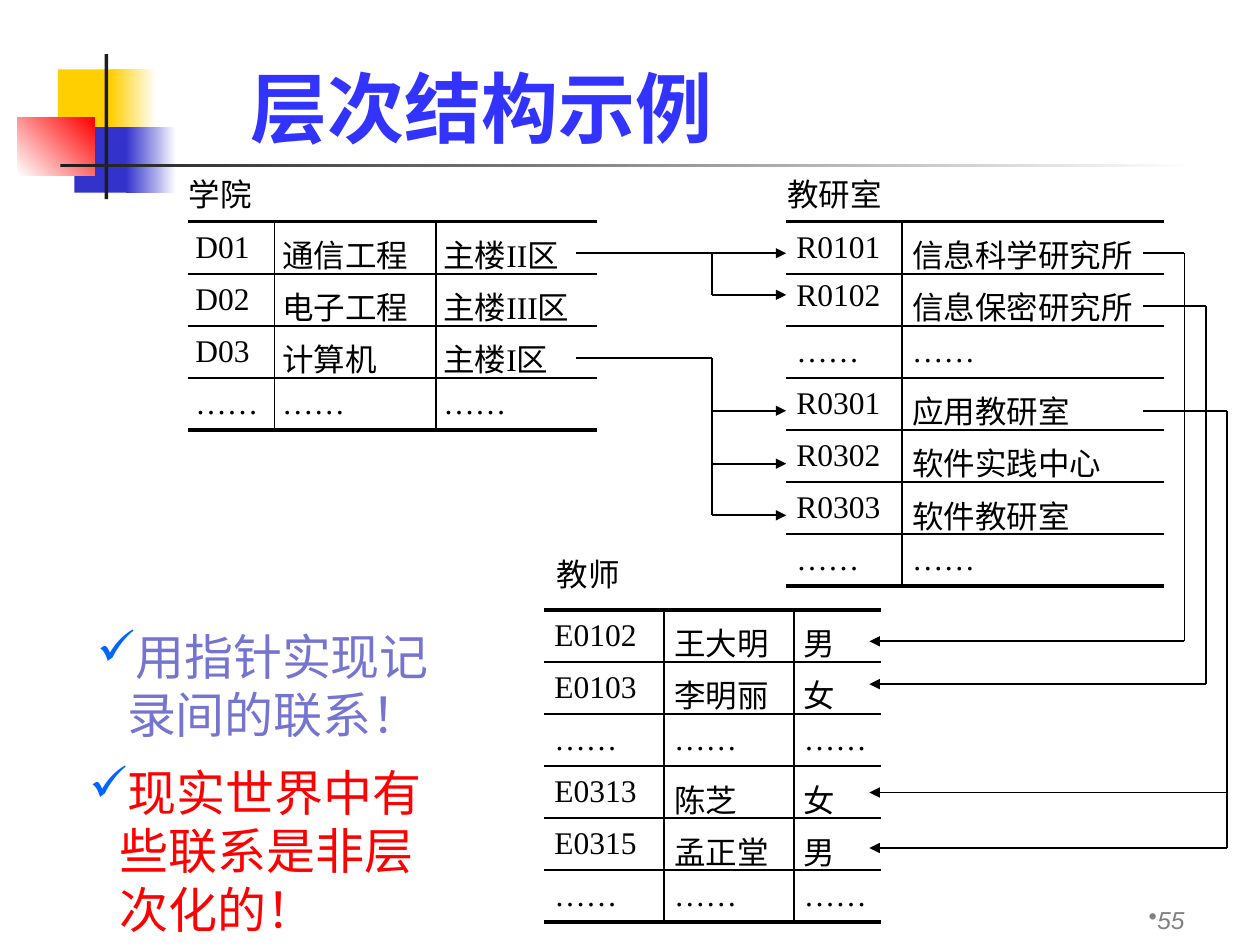
import pptx
import pptx.dml.color
import pptx.enum.dml
import pptx.enum.shapes
import pptx.enum.text
import pptx.oxml
import pptx.oxml.ns
import pptx.util
from pptx.util import Inches

COLORS = {
    "yellow": "FFCF01", "blue": "3333CC", "red": "FF0000", "white": "FFFFFF",
    "dark": "1C1C1C", "black": "000000", "title": "3333FF", "grey": "808080",
    "violet": "7575D1", "check": "0066FF",
}
ANCHOR = pptx.enum.text.MSO_ANCHOR
ROW_HEIGHT = 0.413
DOTS = "……"

COLLEGES = [
    ["D01", "通信工程", "主楼II区"],
    ["D02", "电子工程", "主楼III区"],
    ["D03", "计算机", "主楼I区"],
    [DOTS] * 3,
]
OFFICES = [
    ["R0101", "信息科学研究所"],
    ["R0102", "信息保密研究所"],
    [DOTS] * 2,
    ["R0301", "应用教研室"],
    ["R0302", "软件实践中心"],
    ["R0303", "软件教研室"],
    [DOTS] * 2,
]
TEACHERS = [
    ["E0102", "王大明", "男"],
    ["E0103", "李明丽", "女"],
    [DOTS] * 3,
    ["E0313", "陈芝", "女"],
    ["E0315", "孟正堂", "男"],
    [DOTS] * 3,
]


def rgb(name):
    return pptx.dml.color.RGBColor.from_string(COLORS[name])


def element(xml):
    """Parse a drawing element whose first tag needs the a: namespace."""
    tag, rest = xml[:xml.index(" ")], xml[xml.index(" "):]
    return pptx.oxml.parse_xml(f"{tag} {pptx.oxml.ns.nsdecls('a')}{rest}")


def add_run(paragraph, text, size, font, color, bold=False, italic=False):
    run = paragraph.add_run()
    run.text = text
    run.font.size = pptx.util.Pt(size)
    run.font.name = font
    run.font.bold = bold
    run.font.italic = italic
    run.font.color.rgb = rgb(color)
    return run


def add_bullet(paragraph, char, margin, indent, color=None):
    props = paragraph._p.get_or_add_pPr()
    props.set("marL", str(Inches(margin)))
    props.set("indent", str(Inches(indent)))
    if color:
        props.append(element(f'<a:buClr ><a:srgbClr val="{COLORS[color]}"/></a:buClr>'))
    props.append(element(f'<a:buChar char="{char}"/>'))


def add_text_box(slide, box, wrap=True, anchor=ANCHOR.TOP):
    frame = slide.shapes.add_textbox(*map(Inches, box)).text_frame
    frame.word_wrap = wrap
    frame.vertical_anchor = anchor
    return frame


def add_block(slide, box, *stops, angle=0):
    """Borderless rectangle: one colour is solid, two make a gradient."""
    block = slide.shapes.add_shape(
        pptx.enum.shapes.MSO_SHAPE.RECTANGLE, *map(Inches, box))
    block.shadow.inherit = False
    block.line.fill.background()
    if len(stops) == 1:
        block.fill.solid()
        block.fill.fore_color.rgb = rgb(stops[0])
        return
    block.fill.gradient()
    block.fill.gradient_angle = angle
    for position, (stop, color) in enumerate(zip(block.fill.gradient_stops, stops)):
        stop.position = position
        stop.color.rgb = rgb(color)


def add_ornament(slide, left, top):
    add_block(slide, (left + 0.32, top + 0.12, 0.48, 0.52), "yellow")
    add_block(slide, (left + 0.74, top + 0.12, 0.36, 0.52), "yellow", "white")
    add_block(slide, (left + 0.45, top + 0.58, 0.46, 0.52), "blue")
    add_block(slide, (left + 0.86, top + 0.58, 0.4, 0.52), "blue", "white")
    add_block(slide, (left, top + 0.5, 0.61, 0.46), "white", "red", angle=45)
    add_block(slide, (left + 0.69, top, 0.03, 1.15), "dark")
    add_block(slide, (left + 0.34, top + 0.87, 9, 0.03), "dark", "white")


def add_title(slide, box, text):
    frame = add_text_box(slide, box, anchor=ANCHOR.MIDDLE)
    add_run(frame.paragraphs[0], text, 44, "Noto Sans CJK SC", "title", bold=True)


def set_borders(cell, widths):
    """Widths in points for left, right, top, bottom; 0 hides the side."""
    props = cell._tc.get_or_add_tcPr()
    for index, (side, width) in enumerate(zip("LRTB", widths)):
        paint = (f'<a:solidFill><a:srgbClr val="{COLORS["black"]}"/></a:solidFill>'
                 if width else "<a:noFill/>")
        props.insert(index, element(
            f'<a:ln{side} w="{pptx.util.Pt(width)}">{paint}</a:ln{side}>'))


def add_record_table(slide, left, top, col_widths, records, side_margin=0.08):
    last_row, last_col = len(records) - 1, len(col_widths) - 1
    table = slide.shapes.add_table(
        len(records), len(col_widths), Inches(left), Inches(top),
        Inches(sum(col_widths)), Inches(ROW_HEIGHT * len(records))).table
    table.first_row = table.horz_banding = False
    for column, width in zip(table.columns, col_widths):
        column.width = Inches(width)
    for r, record in enumerate(records):
        table.rows[r].height = Inches(ROW_HEIGHT)
        for c, value in enumerate(record):
            cell = table.cell(r, c)
            cell.margin_left = cell.margin_right = Inches(side_margin)
            cell.margin_top = cell.margin_bottom = Inches(0.04)
            cell.fill.background()
            paragraph = cell.text_frame.paragraphs[0]
            paragraph.line_spacing = 1.0 if value == "R0102" else 1.1
            add_run(paragraph, value, 18, "Times New Roman", "black")
            set_borders(cell, (
                1 if c else 0, 1 if c < last_col else 0,
                1 if r else 2.25, 1 if r < last_row else 2.25))


def add_label(slide, box, text):
    frame = add_text_box(slide, box, wrap=False)
    add_run(frame.paragraphs[0], text, 18, "Arial", "black")


def add_line(slide, start, end, arrow=False):
    line = slide.shapes.add_connector(
        pptx.enum.shapes.MSO_CONNECTOR.STRAIGHT, *map(Inches, (*start, *end)))
    line.line.color.rgb = rgb("black")
    line.line.width = pptx.util.Pt(1)
    props = line._element.spPr
    if arrow:
        line.line._get_or_add_ln().append(element('<a:tailEnd type="triangle"/>'))
    props.append(element("<a:effectLst />"))


def add_pointers(slide, start_x, trunk_x, end_x, source_y, target_ys):
    """Lead one record through a vertical trunk to each of its children."""
    if source_y not in target_ys:
        add_line(slide, (start_x, source_y), (trunk_x, source_y))
    add_line(slide, (trunk_x, source_y), (trunk_x, max(target_ys)))
    for y in target_ys:
        branch_x = start_x if y == source_y else trunk_x
        add_line(slide, (branch_x, y), (end_x, y), arrow=True)


def add_remark(slide, box, text, color):
    paragraph = add_text_box(slide, box).paragraphs[0]
    add_bullet(paragraph, "✓", 0.24, -0.24, "check")
    run = add_run(paragraph, text, 28, "Lato", color)
    run._r.get_or_add_rPr().append(element('<a:ea typeface="Lato"/>'))


def add_page_number(slide, box, number):
    frame = add_text_box(slide, box, wrap=False, anchor=ANCHOR.BOTTOM)
    frame.margin_top = frame.margin_bottom = 0
    paragraph = frame.paragraphs[0]
    paragraph.alignment = pptx.enum.text.PP_ALIGN.RIGHT
    add_bullet(paragraph, "•", 0.5, 0)
    add_run(paragraph, number, 14, "Arial", "grey", italic=True)


def main():
    deck = pptx.Presentation()
    deck.slide_width, deck.slide_height = Inches(10), Inches(7.5)
    slide = deck.slides.add_slide(deck.slide_layouts[6])

    add_ornament(slide, 0.14, 0.43)
    add_page_number(slide, (7.42, 6.92, 2.08, 0.5), "55")
    add_title(slide, (1.89, 0.42, 7.38, 0.86), "层次结构示例")

    add_label(slide, (1.4, 1.34, 0.7, 0.4), "学院")
    add_record_table(slide, 1.49, 1.76, (0.69, 1.28, 1.28), COLLEGES, 0.06)
    add_label(slide, (6.15, 1.34, 0.96, 0.4), "教研室")
    add_record_table(slide, 6.24, 1.76, (0.92, 2.08), OFFICES)
    add_label(slide, (4.32, 4.36, 0.7, 0.4), "教师")
    add_record_table(slide, 4.32, 4.84, (0.95, 1.03, 0.69), TEACHERS)

    add_pointers(slide, 4.57, 5.65, 6.24, 2.01, (2.01, 2.34))
    add_pointers(slide, 4.57, 5.65, 6.24, 2.84, (3.26, 3.68, 4.09))
    add_pointers(slide, 9.07, 9.4, 6.9, 2.01, (5.09,))
    add_pointers(slide, 9.07, 9.57, 6.9, 2.43, (5.43,))
    add_pointers(slide, 9.07, 9.74, 6.9, 3.26, (6.29, 6.73))

    add_remark(slide, (0.67, 4.92, 3, 1.17), "用指针实现记录间的联系！", "violet")
    add_remark(slide, (0.61, 6, 3, 1.17), "现实世界中有些联系是非层次化的！", "red")
    deck.save("out.pptx")


if __name__ == "__main__":
    main()
